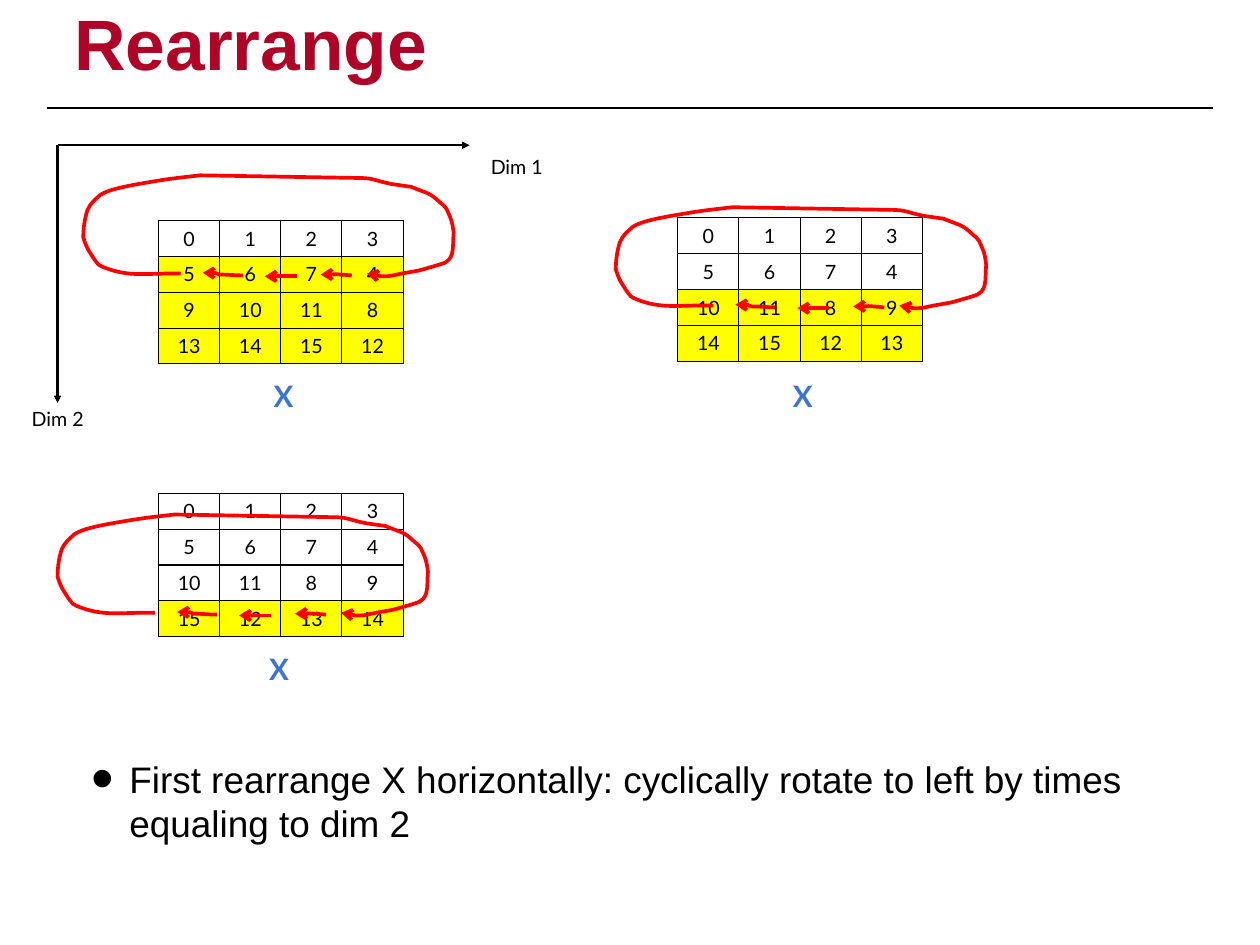
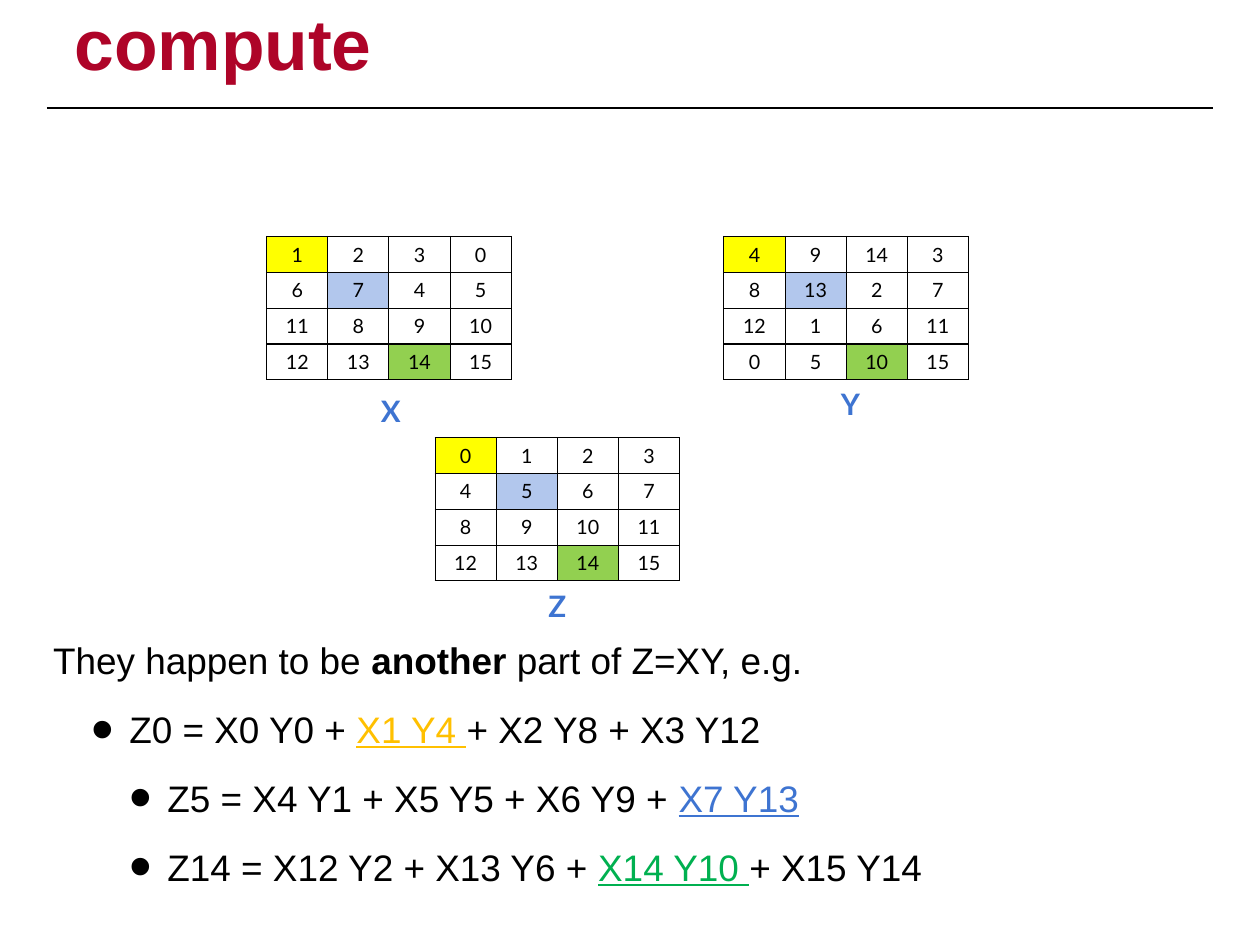
import lxml.etree
import pptx
import pptx.dml.color
import pptx.enum.shapes
import pptx.enum.text
import pptx.oxml
import pptx.oxml.ns
import pptx.util

COLORS = {
    "black": "000000", "crimson": "AE0428", "red": "FF0000",
    "blue": "3E74D1", "gold": "FFC000", "green": "00B050",
    "yellow": "FFFF00", "pale": "B2C7ED", "lime": "92D050",
}

TITLE = {"name": "Arial", "size": 58, "bold": True, "color": "crimson"}
BODY = {"name": "Arial", "size": 30, "color": "black"}
CELL = {"name": "Lato", "size": 16, "color": "black"}
MATRIX_NAME = {"name": "Lato", "size": 24, "bold": True, "color": "blue"}

MATRIX_WIDTH, MATRIX_HEIGHT = 2.76, 1.62
BODY_INDENT = 0.43
TEXT_INSET = 0.06

DIAGONAL = {(0, 0): "yellow", (1, 1): "pale", (3, 2): "lime"}


def shade_rows(first):
    return {(row, column): "yellow" for row in range(first, 4) for column in range(4)}


SLIDES = [
    {
        "title": "Rearrange",
        "matrices": [
            {"at": (1.79, 2.49), "fills": shade_rows(1), "name": ("X", 2.99, 4.22),
             "rows": [[0, 1, 2, 3], [5, 6, 7, 4], [9, 10, 11, 8], [13, 14, 15, 12]]},
            {"at": (7.65, 2.46), "fills": shade_rows(2), "name": ("X", 8.85, 4.22),
             "rows": [[0, 1, 2, 3], [5, 6, 7, 4], [10, 11, 8, 9], [14, 15, 12, 13]]},
            {"at": (1.79, 5.57), "fills": shade_rows(3), "name": ("X", 2.94, 7.3),
             "rows": [[0, 1, 2, 3], [5, 6, 7, 4], [10, 11, 8, 9], [15, 12, 13, 14]]},
        ],
        "axes": [
            ("Dim 2", (0.26, 4.55), (0.65, 4.55)),
            ("Dim 1", (5.44, 1.7), (5.3, 1.64)),
        ],
        "rotations": [(0.94, 1.98), (6.95, 2.34), (0.65, 5.81)],
        "body_top": 8.48,
        "body": [
            (1, [("First rearrange X horizontally: cyclically rotate to left by times "
                  "equaling to dim 2", {})]),
        ],
    },
    {
        "title": "compute",
        "matrices": [
            {"at": (8.17, 2.67), "fills": DIAGONAL, "name": ("Y", 9.39, 4.31),
             "rows": [[4, 9, 14, 3], [8, 13, 2, 7], [12, 1, 6, 11], [0, 5, 10, 15]]},
            {"at": (3.01, 2.67), "fills": DIAGONAL, "name": ("X", 4.2, 4.39),
             "rows": [[1, 2, 3, 0], [6, 7, 4, 5], [11, 8, 9, 10], [12, 13, 14, 15]]},
            {"at": (4.91, 4.94), "fills": DIAGONAL, "name": ("Z", 6.09, 6.59),
             "rows": [[0, 1, 2, 3], [4, 5, 6, 7], [8, 9, 10, 11], [12, 13, 14, 15]]},
        ],
        "axes": [],
        "rotations": [],
        "body_top": 7.14,
        "body": [
            (0, [("They happen to be ", {}), ("another", {"bold": True}),
                 (" part of Z=XY, e.g.", {})]),
            (1, [("Z0 = X0 Y0 + ", {}), ("X1 Y4 ", {"color": "gold", "underline": True}),
                 ("+ X2 Y8 + X3 Y12", {})]),
            (2, [("Z5 = X4 Y1 + X5 Y5 + X6 Y9 + ", {}),
                 ("X7 Y13", {"color": "blue", "underline": True})]),
            (2, [("Z14 = X12 Y2 + X13 Y6 + ", {}),
                 ("X14 Y10 ", {"color": "green", "underline": True}),
                 ("+ X15 Y14", {})]),
        ],
    },
]

AXIS_ORIGIN = (0.65, 1.64)

LOOP = ((1.1, 1.11), [
    ((0.71, 1.1), (0.52, 1.16), (0.21, 1.03)),
    ((0.18, 1.02), (0.16, 1), (0.14, 0.97)),
    ((0.11, 0.93), (0.08, 0.88), (0.05, 0.83)),
    ((0.03, 0.79), (0.01, 0.74), (0, 0.7)),
    ((0, 0.61), (0.01, 0.53), (0.03, 0.45)),
    ((0.05, 0.36), (0.09, 0.31), (0.16, 0.25)),
    ((0.18, 0.23), (0.2, 0.21), (0.23, 0.2)),
    ((0.33, 0.15), (0.51, 0.12), (0.61, 0.1)),
    ((0.96, 0.04), (0.97, 0.04), (1.32, 0)),
    ((3.1, 0.03),),
    ((3.29, 0.03), (3.28, 0.06), (3.49, 0.1)),
    ((3.56, 0.11), (3.63, 0.12), (3.7, 0.13)),
    ((3.92, 0.22), (3.9, 0.19), (4.03, 0.31)),
    ((4.06, 0.33), (4.08, 0.35), (4.1, 0.38)),
    ((4.11, 0.41), (4.13, 0.44), (4.14, 0.47)),
    ((4.17, 0.55), (4.17, 0.58), (4.18, 0.65)),
    ((4.17, 0.73), (4.18, 0.82), (4.16, 0.89)),
    ((4.12, 1), (4.06, 0.99), (3.98, 1.02)),
    ((3.73, 1.09), (3.87, 1.06), (3.59, 1.11)),
    ((3.53, 1.12), (3.47, 1.14), (3.41, 1.14)),
    ((3.34, 1.14), (3.27, 1.12), (3.2, 1.11)),
])
SHIFTS = [
    ((1.8, 1.13), [
        ((1.71, 1.13), (1.62, 1.12), (1.53, 1.12)),
        ((1.51, 1.12), (1.5, 1.1), (1.48, 1.1)),
        ((1.44, 1.1), (1.39, 1.1), (1.35, 1.1)),
    ]),
    ((2.41, 1.14), [((2.05, 1.14),)]),
    ((3.03, 1.13), [((2.79, 1.11), (2.9, 1.12), (2.68, 1.12))]),
]


def rgb(name):
    return pptx.dml.color.RGBColor.from_string(COLORS[name])


def add_element(parent, tag, **attributes):
    element = lxml.etree.SubElement(parent, pptx.oxml.ns.qn(tag))
    for key, value in attributes.items():
        element.set(key, value)
    return element


def add_span(para, text, style):
    span = para.add_run()
    span.text = text
    for key, value in style.items():
        if key == "color":
            span.font.color.rgb = rgb(value)
        else:
            setattr(span.font, key, pptx.util.Pt(value) if key == "size" else value)


def add_box(page, left, top, width, height, inset=None, **frame_format):
    box = page.shapes.add_textbox(*map(pptx.util.Inches, (left, top, width, height)))
    if inset is not None:
        for side in ("left", "right", "top", "bottom"):
            frame_format["margin_" + side] = pptx.util.Inches(inset)
    for key, value in frame_format.items():
        setattr(box.text_frame, key, value)
    return box.text_frame


def add_label(page, text, left, top, width, height, style):
    frame = add_box(page, left, top, width, height, word_wrap=False)
    add_span(frame.paragraphs[0], text, style)


def style_line(shape, color, width, head=None):
    shape.line.color.rgb = rgb(color)
    shape.line.width = pptx.util.Pt(width)
    if head:
        add_element(shape.line._get_or_add_ln(), "a:tailEnd", type=head)


def add_line(page, start, end, color, width, head=None):
    line = page.shapes.add_connector(
        pptx.enum.shapes.MSO_CONNECTOR.STRAIGHT, *map(pptx.util.Inches, (*start, *end)))
    style_line(line, color, width, head)
    add_element(line._element.spPr, "a:effectLst")


def add_matrix(page, matrix):
    rows = matrix["rows"]
    left, top = matrix["at"]
    frame = page.shapes.add_table(
        len(rows), len(rows[0]),
        *map(pptx.util.Inches, (left, top, MATRIX_WIDTH, MATRIX_HEIGHT)))
    table = frame.table
    table.first_row = table.horz_banding = False
    for row_index, row in enumerate(rows):
        for column_index, value in enumerate(row):
            cell = table.cell(row_index, column_index)
            cell.vertical_anchor = pptx.enum.text.MSO_ANCHOR.MIDDLE
            for side in ("a:lnL", "a:lnR", "a:lnT", "a:lnB"):
                border = add_element(cell._tc.get_or_add_tcPr(), side, w="12700")
                add_element(add_element(border, "a:solidFill"), "a:srgbClr", val=COLORS["black"])
            fill = matrix["fills"].get((row_index, column_index))
            if fill:
                cell.fill.solid()
                cell.fill.fore_color.rgb = rgb(fill)
            else:
                cell.fill.background()
            para = cell.text_frame.paragraphs[0]
            para.alignment = pptx.enum.text.PP_ALIGN.CENTER
            add_span(para, str(value), CELL)
    name, name_left, name_top = matrix["name"]
    add_label(page, name, name_left, name_top, 0.39, 0.5, MATRIX_NAME)


def add_stroke(page, origin, start, segments):
    def place(point):
        return tuple(pptx.util.Inches(base + offset) for base, offset in zip(origin, point))

    builder = page.shapes.build_freeform(*place(start))
    builder.add_line_segments([place(segment[-1]) for segment in segments], close=False)
    stroke = builder.convert_to_shape()
    straights = list(stroke._element.iter(pptx.oxml.ns.qn("a:lnTo")))
    for straight, segment in zip(straights, segments):
        if len(segment) == 3:
            curve = lxml.etree.Element(pptx.oxml.ns.qn("a:cubicBezTo"))
            for x, y in map(place, segment):
                add_element(curve, "a:pt", x=str(x - stroke.left), y=str(y - stroke.top))
            straight.getparent().replace(straight, curve)
    stroke.shadow.inherit = False
    stroke.fill.background()
    style_line(stroke, "red", 3, "arrow")


def add_body(page, top, paragraphs):
    frame = add_box(page, 0.54, top, 13.14, 9.88 - top, TEXT_INSET, word_wrap=True)
    for index, (level, spans) in enumerate(paragraphs):
        para = frame.add_paragraph() if index else frame.paragraphs[0]
        para.space_before = pptx.util.Pt(20)
        if level:
            properties = para._p.get_or_add_pPr()
            indent = pptx.util.Inches(BODY_INDENT)
            properties.set("marL", str(indent * (level + 1)))
            properties.set("indent", str(-indent))
            add_element(properties, "a:buSzPct", val="175000")
            add_element(properties, "a:buFont", typeface="Arial")
            add_element(properties, "a:buChar", char="•")
        for text, changes in spans:
            add_span(para, text, {**BODY, **changes})


def add_page(deck, title):
    page = deck.slides.add_slide(deck.slide_layouts[6])
    add_line(page, (0.53, 1.22), (13.69, 1.22), "black", 2)
    frame = add_box(page, 0.78, 0.19, 12.67, 0.93, TEXT_INSET, word_wrap=True,
                    vertical_anchor=pptx.enum.text.MSO_ANCHOR.TOP)
    frame.paragraphs[0].line_spacing = 0.7
    add_span(frame.paragraphs[0], title, TITLE)
    return page


def main():
    deck = pptx.Presentation()
    deck.slide_width = pptx.util.Inches(14.22)
    deck.slide_height = pptx.util.Inches(10.67)
    for content in SLIDES:
        page = add_page(deck, content["title"])
        add_body(page, content["body_top"], content["body"])
        for matrix in content["matrices"]:
            add_matrix(page, matrix)
        for text, label_at, end in content["axes"]:
            add_line(page, AXIS_ORIGIN, end, "black", 2, "triangle")
            add_label(page, text, *label_at, 0.79, 0.37, CELL)
        for origin in content["rotations"]:
            for start, segments in (LOOP, *SHIFTS):
                add_stroke(page, origin, start, segments)
    deck.save("out.pptx")


if __name__ == "__main__":
    main()
